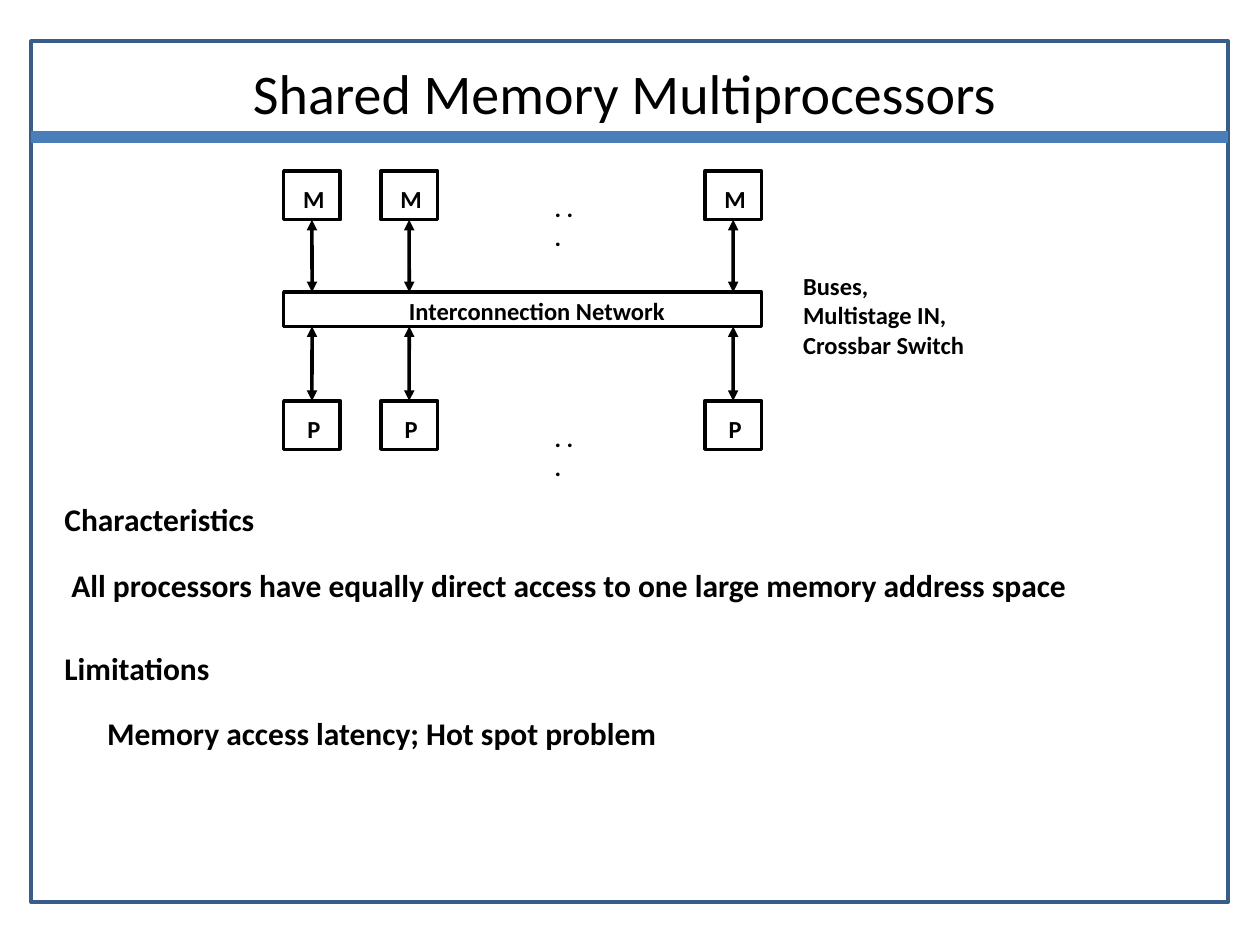
from lxml import etree
from pptx import Presentation
from pptx.dml.color import RGBColor
from pptx.enum.shapes import MSO_CONNECTOR, MSO_SHAPE
from pptx.enum.text import MSO_ANCHOR, MSO_AUTO_SIZE, PP_ALIGN
from pptx.oxml.ns import qn
from pptx.util import Cm, Pt

RECTANGLE = MSO_SHAPE.RECTANGLE
STRAIGHT = MSO_CONNECTOR.STRAIGHT
LEFT, CENTER = PP_ALIGN.LEFT, PP_ALIGN.CENTER
TOP, MIDDLE = MSO_ANCHOR.TOP, MSO_ANCHOR.MIDDLE
FIT_SHAPE = MSO_AUTO_SIZE.SHAPE_TO_FIT_TEXT

BLACK = RGBColor(0x00, 0x00, 0x00)
FRAME_BLUE = RGBColor(0x38, 0x5D, 0x8A)
RULE_BLUE = RGBColor(0x4A, 0x7E, 0xBB)
FONT = "Calibri"
SMALL_INSETS = (0.18, 0.08, 0.18, 0.08)
BOTTOM_SIDE, TOP_SIDE = 2, 0


def write_text(shape, text, size, bold=True, align=LEFT, anchor=TOP, insets=SMALL_INSETS):
    """Fill a shape with text; insets are left, top, right, bottom in cm."""
    frame = shape.text_frame
    frame.text = text
    frame.vertical_anchor = anchor
    frame.margin_left, frame.margin_top, frame.margin_right, frame.margin_bottom = map(Cm, insets)
    for paragraph in frame.paragraphs:
        paragraph.alignment = align
        for run in paragraph.runs:
            run.font.name = FONT
            run.font.size = Pt(size)
            run.font.bold = bold
            run.font.color.rgb = BLACK
    return frame


def add_text(slide, box, text, size, wrap=True, **style):
    shape = slide.shapes.add_textbox(*map(Cm, box))
    frame = write_text(shape, text, size, **style)
    frame.word_wrap = wrap
    frame.auto_size = FIT_SHAPE
    return frame


def add_outline(slide, box, color):
    shape = slide.shapes.add_shape(RECTANGLE, *map(Cm, box))
    shape.shadow.inherit = False
    shape.fill.background()
    shape.line.color.rgb = color
    shape.line.width = Pt(2)
    return shape


def add_line(slide, start, end, color, width, arrows=False):
    connector = slide.shapes.add_connector(STRAIGHT, *map(Cm, start + end))
    connector.line.color.rgb = color
    connector.line.width = Pt(width)
    if arrows:
        line = connector.line._get_or_add_ln()
        for end_tag in ("a:headEnd", "a:tailEnd"):
            etree.SubElement(line, qn(end_tag), type="triangle")
    etree.SubElement(connector._element.spPr, qn("a:effectLst"))
    return connector


def add_header(slide, box):
    """Draw the slide frame, its title and the rule under the title."""
    left, top, width, _ = box
    add_outline(slide, box, FRAME_BLUE)
    rule_y = top + 1.93
    add_line(slide, (left, rule_y), (left + width, rule_y), RULE_BLUE, 6.75)
    add_text(slide, (left + 1.27, top + 0.23, 21.39, 1.63), "Shared Memory Multiprocessors",
             32, bold=False, align=CENTER, insets=(0.25, 0.13, 0.25, 0.13))


def add_diagram(slide, box):
    """Draw memories above and processors below the interconnection network."""
    left, top, width, height = box
    node_width, node_height = 1.14, 0.98
    network_top, network_height = top + 2.44, 0.69
    processor_top = top + height - node_height

    network = add_outline(slide, (left, network_top, width, network_height), BLACK)
    write_text(network, "Interconnection Network", 14, align=CENTER, anchor=MIDDLE,
               insets=(0.58, 0.05, 0, 0))

    rows = (
        ("M", top, top + node_height, network_top, BOTTOM_SIDE),
        ("P", processor_top, processor_top, network_top + network_height, TOP_SIDE),
    )
    for label, row_top, node_edge, network_edge, side in rows:
        for offset in (0, 1.96, width - node_width):
            node_left = left + offset
            node = add_outline(slide, (node_left, row_top, node_width, node_height), BLACK)
            write_text(node, label, 14, align=CENTER, anchor=MIDDLE, insets=(0.08, 0.15, 0, 0))
            middle = node_left + node_width / 2
            arrow = add_line(slide, (middle, node_edge), (middle, network_edge), BLACK, 2,
                             arrows=True)
            arrow.begin_connect(node, side)
        add_text(slide, (left + 5.28, row_top + 0.36, 0.97, 0.74), ". . .", 14, wrap=False)

    add_text(slide, (left + width + 0.66, top + 1.93, 3.63, 1.93),
             "Buses,\nMultistage IN,\nCrossbar Switch", 14, wrap=False)


def add_notes_on_design(slide, box):
    """Write the characteristics and limitations under the diagram."""
    # text, space before in points, indent in cm
    lines = (
        ("Characteristics", 0, 0),
        ("All processors have equally direct access to one large memory address space", 18.5, 0.14),
        ("Limitations", 29, 0),
        ("Memory access latency; Hot spot problem", 18.5, 0.86),
    )
    frame = add_text(slide, box, "\n".join(line[0] for line in lines), 18)
    for paragraph, (_, space_before, indent) in zip(frame.paragraphs, lines):
        paragraph.line_spacing = 0.87
        paragraph.space_before = Pt(space_before)
        paragraph._p.get_or_add_pPr().set("marL", str(Cm(indent)))


def main():
    presentation = Presentation()
    presentation.slide_width, presentation.slide_height = Cm(25.4), Cm(19.05)
    slide = presentation.slides.add_slide(presentation.slide_layouts[6])
    add_header(slide, (0.63, 0.83, 24.13, 17.36))
    add_diagram(slide, (5.72, 3.45, 9.63, 5.61))
    add_notes_on_design(slide, (1.12, 10.11, 23.42, 5.24))
    presentation.save("out.pptx")


if __name__ == "__main__":
    main()
